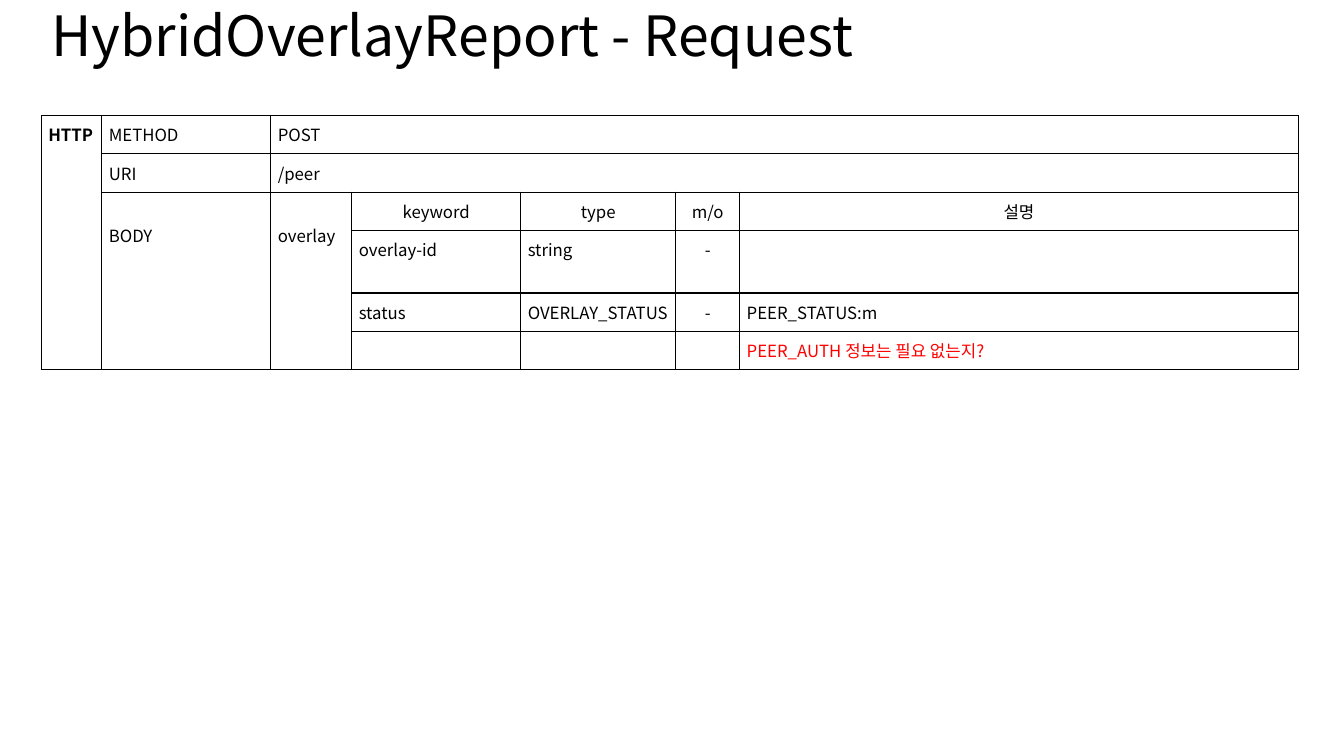
from dataclasses import dataclass

from lxml.etree import SubElement
from pptx import Presentation
from pptx.dml.color import RGBColor
from pptx.enum.text import MSO_ANCHOR, MSO_AUTO_SIZE, PP_ALIGN
from pptx.oxml import parse_xml
from pptx.oxml.ns import nsdecls, qn
from pptx.slide import Slide
from pptx.table import Table, _Cell as Cell
from pptx.text.text import _Paragraph as Paragraph
from pptx.util import Pt


@dataclass(frozen=True)
class Theme:
    font: str = "Noto Sans CJK KR"
    title_size: float = 39.6
    body_size: float = 12
    text: str = "000000"
    question: str = "FF0000"
    border: str = "000000"
    border_width: float = 1
    cell_margin: float = 5
    line_height: float = 17.4


@dataclass(frozen=True)
class Entry:
    row: int
    column: int
    text: str
    rows: int = 1
    columns: int = 1
    centered: bool = False
    bold: bool = False
    lines_above: int = 0
    color: str = ""


THEME = Theme()
LEFT, WIDTH = 29.5, 897.8
TABLE_TOP = 82.4
COLUMN_WIDTHS = (43.2, 120.7, 57.9, 120.7, 110.7, 45.7, 398.9)
ROW_HEIGHTS = (27.4, 27.4, 27.4, 44.6, 27.4, 27.4)

ENTRIES = (
    Entry(0, 0, "HTTP", rows=6, bold=True),
    Entry(0, 1, "METHOD"),
    Entry(0, 2, "POST", columns=5),
    Entry(1, 1, "URI"),
    Entry(1, 2, "/peer", columns=5),
    Entry(2, 1, "BODY", rows=4, lines_above=1),
    Entry(2, 2, "overlay", rows=4, lines_above=1),
    Entry(2, 3, "keyword", centered=True),
    Entry(2, 4, "type", centered=True),
    Entry(2, 5, "m/o", centered=True),
    Entry(2, 6, "설명", centered=True),
    Entry(3, 3, "overlay-id"),
    Entry(3, 4, "string"),
    Entry(3, 5, "-", centered=True),
    Entry(4, 3, "status"),
    Entry(4, 4, "OVERLAY_STATUS"),
    Entry(4, 5, "-", centered=True),
    Entry(4, 6, "PEER_STATUS:m"),
    Entry(5, 6, "PEER_AUTH 정보는 필요 없는지?", color=THEME.question),
)


def format_runs(paragraph: Paragraph, size: float, color: str, bold: bool = False) -> None:
    for run in paragraph.runs:
        run.font.name = THEME.font
        run.font.size = Pt(size)
        run.font.bold = bold
        run.font.color.rgb = RGBColor.from_string(color)
        east_asian = SubElement(run.font._element, qn("a:ea"))
        east_asian.set("typeface", THEME.font)


def format_cell(cell: Cell) -> None:
    cell.fill.background()
    cell.margin_left = cell.margin_right = Pt(THEME.cell_margin)
    cell.margin_top = cell.margin_bottom = Pt(THEME.cell_margin)
    properties = cell._tc.get_or_add_tcPr()
    for position, side in enumerate(("lnL", "lnR", "lnT", "lnB")):
        border = parse_xml(
            f'<a:{side} {nsdecls("a")} w="{Pt(THEME.border_width)}"><a:solidFill>'
            f'<a:srgbClr val="{THEME.border}"/></a:solidFill></a:{side}>'
        )
        properties.insert(position, border)
    end_properties = SubElement(cell.text_frame.paragraphs[0]._p, qn("a:endParaRPr"))
    end_properties.set("sz", str(int(THEME.body_size * 100)))


def fill_entry(table: Table, entry: Entry) -> None:
    cell = table.cell(entry.row, entry.column)
    if entry.rows > 1 or entry.columns > 1:
        cell.merge(table.cell(entry.row + entry.rows - 1, entry.column + entry.columns - 1))
    cell.margin_top = Pt(THEME.cell_margin + entry.lines_above * THEME.line_height)
    paragraph = cell.text_frame.paragraphs[0]
    paragraph.text = entry.text
    paragraph.alignment = PP_ALIGN.CENTER if entry.centered else PP_ALIGN.LEFT
    format_runs(paragraph, THEME.body_size, entry.color or THEME.text, entry.bold)


def add_title(slide: Slide, text: str) -> None:
    title = slide.shapes.title
    title.left, title.top, title.width, title.height = Pt(LEFT), Pt(1.4), Pt(WIDTH), Pt(51.8)
    title.text_frame.text = text
    title.text_frame.auto_size = MSO_AUTO_SIZE.NONE
    title.text_frame.vertical_anchor = MSO_ANCHOR.MIDDLE
    paragraph = title.text_frame.paragraphs[0]
    paragraph.alignment = PP_ALIGN.LEFT
    paragraph.line_spacing = 0.9
    format_runs(paragraph, THEME.title_size, THEME.text)


def add_request_table(slide: Slide) -> None:
    table = slide.shapes.add_table(
        len(ROW_HEIGHTS), len(COLUMN_WIDTHS),
        Pt(LEFT), Pt(TABLE_TOP), Pt(WIDTH), Pt(sum(ROW_HEIGHTS)),
    ).table
    table.first_row = table.horz_banding = False
    for column, width in zip(table.columns, COLUMN_WIDTHS):
        column.width = Pt(width)
    for row, height in zip(table.rows, ROW_HEIGHTS):
        row.height = Pt(height)
    for cell in table.iter_cells():
        format_cell(cell)
    for entry in ENTRIES:
        fill_entry(table, entry)


def main() -> None:
    presentation = Presentation()
    presentation.slide_width, presentation.slide_height = Pt(960), Pt(540)
    slide = presentation.slides.add_slide(presentation.slide_layouts[5])
    add_title(slide, "HybridOverlayReport - Request")
    add_request_table(slide)
    presentation.save("out.pptx")


if __name__ == "__main__":
    main()
